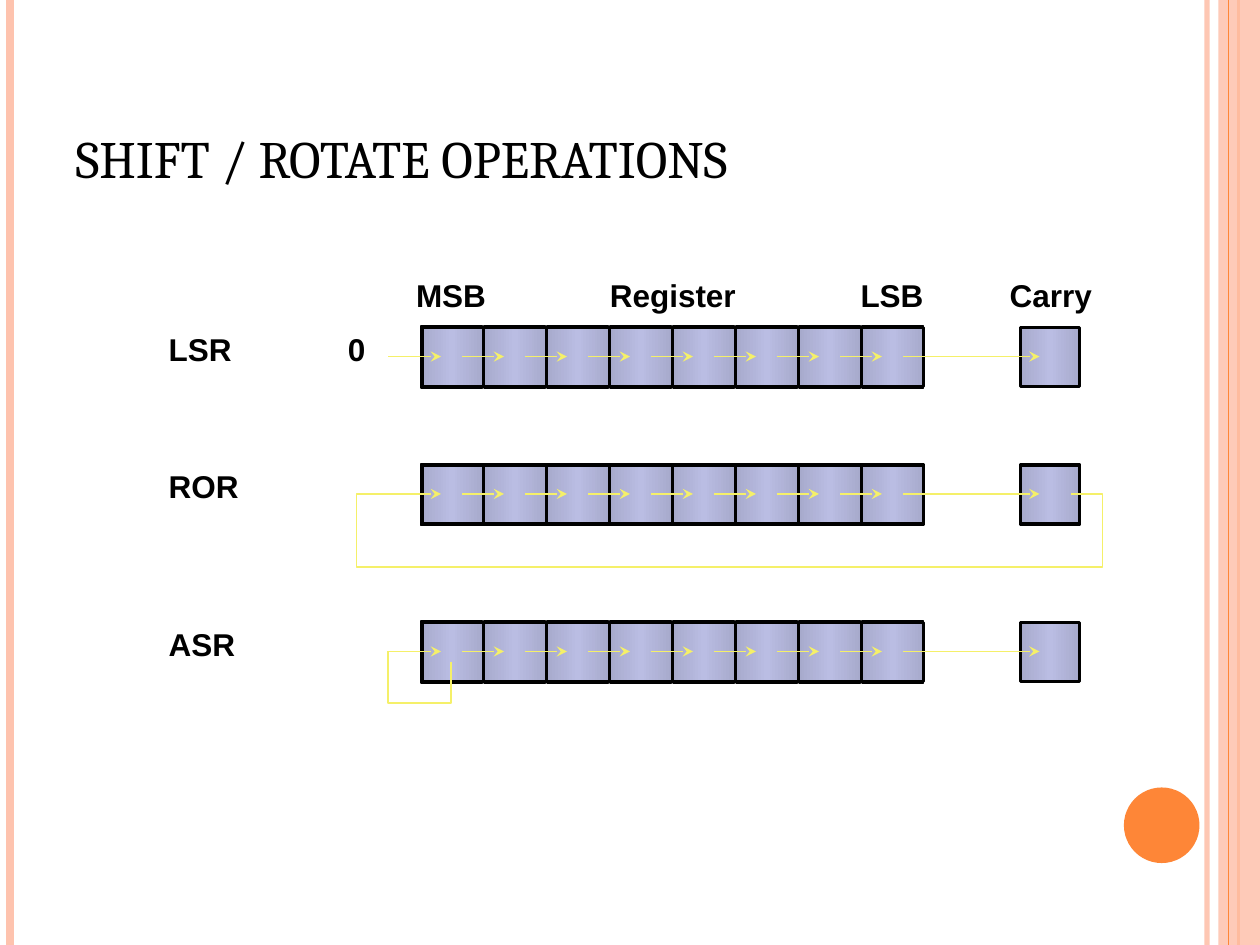
from copy import deepcopy

from lxml import etree
from pptx import Presentation
from pptx.dml.color import RGBColor
from pptx.enum.shapes import MSO_CONNECTOR, MSO_SHAPE
from pptx.enum.text import MSO_ANCHOR, MSO_AUTO_SIZE, PP_ALIGN
from pptx.oxml.ns import qn
from pptx.util import Inches, Pt

STRAIGHT = MSO_CONNECTOR.STRAIGHT
RECTANGLE = MSO_SHAPE.RECTANGLE
OVAL = MSO_SHAPE.OVAL
BOTTOM = MSO_ANCHOR.BOTTOM
NO_AUTO_SIZE = MSO_AUTO_SIZE.NONE
FIT_SHAPE = MSO_AUTO_SIZE.SHAPE_TO_FIT_TEXT
LEFT = PP_ALIGN.LEFT
CENTER = PP_ALIGN.CENTER

BLACK = "000000"
PEACH = "FEC3AE"
ORANGE = "FE8637"
YELLOW = "F5F069"
CELL_GRADIENT = ("A7AACC", "BABDE3", "A7AACC")

BIT_COUNT = 8
BIT_PITCH = 0.5
REGISTER_LEFT = 3.34


def color(hex_value):
    return RGBColor.from_string(hex_value)


def set_alpha(fill_element, percent):
    color_element = fill_element.find(qn("a:srgbClr"))
    etree.SubElement(color_element, qn("a:alpha")).set("val", str(percent * 1000))


def style_font(font, name, size, bold):
    font.name = name
    font.size = Pt(size)
    font.bold = bold
    font.color.rgb = color(BLACK)


def add_line(shapes, start, end, line_color, width, arrow=False, alpha=None):
    connector = shapes.add_connector(STRAIGHT, *map(Inches, start + end))
    connector.line.color.rgb = color(line_color)
    connector.line.width = Pt(width)
    properties = connector._element.spPr
    line = properties.find(qn("a:ln"))
    if alpha:
        set_alpha(line.find(qn("a:solidFill")), alpha)
    if arrow:
        etree.SubElement(line, qn("a:tailEnd")).set("type", "stealth")
    etree.SubElement(properties, qn("a:effectLst"))


def add_arrow(shapes, left, right, y):
    add_line(shapes, (left, y), (right, y), YELLOW, 1, arrow=True)


def add_plain_shape(shapes, kind, box, fill_color):
    shape = shapes.add_shape(kind, *map(Inches, box))
    shape.shadow.inherit = False
    shape.fill.solid()
    shape.fill.fore_color.rgb = color(fill_color)
    shape.line.fill.background()
    return shape


def add_box(shapes, box, line_width, filled=True):
    shape = shapes.add_shape(RECTANGLE, *map(Inches, box))
    shape.shadow.inherit = False
    shape.line.color.rgb = color(BLACK)
    shape.line.width = Pt(line_width)
    if not filled:
        shape.fill.background()
        return
    shape.fill.gradient()
    shape.fill.gradient_angle = 0
    stop_list = shape._element.spPr.find(".//" + qn("a:gsLst"))
    stop_list.insert(1, deepcopy(stop_list[0]))
    stops = zip(shape.fill.gradient_stops, CELL_GRADIENT, (0, 0.5, 1))
    for stop, stop_color, position in stops:
        stop.color.rgb = color(stop_color)
        stop.position = position


def add_label(shapes, text, left, top, width, alignment=CENTER):
    text_box = shapes.add_textbox(*map(Inches, (left, top, width, 0.4)))
    text_frame = text_box.text_frame
    text_frame.word_wrap = False
    text_frame.auto_size = FIT_SHAPE
    text_frame.text = text
    paragraph = text_frame.paragraphs[0]
    paragraph.alignment = alignment
    style_font(paragraph.runs[0].font, "Arial", 18, True)


def add_feedback_path(shapes, points):
    corners = [(Inches(x), Inches(y)) for x, y in points]
    builder = shapes.build_freeform(*corners[0])
    builder.add_line_segments(corners[1:], close=False)
    shape = builder.convert_to_shape()
    shape.shadow.inherit = False
    shape.fill.background()
    shape.line.color.rgb = color(YELLOW)
    shape.line.width = Pt(1)


def add_register_row(slide, name, label_width, y):
    shapes = slide.shapes.add_group_shape().shapes
    for bit in range(BIT_COUNT):
        left = REGISTER_LEFT + bit * BIT_PITCH
        add_box(shapes, (left, y - 0.24, 0.49, 0.49), 1)
    add_box(shapes, (3.35, y - 0.23, 3.98, 0.47), 2, filled=False)
    add_box(shapes, (8.1, y - 0.23, 0.47, 0.47), 2)
    add_label(shapes, name, 1.24, y - 0.26, label_width, LEFT)
    add_arrow(shapes, 3.08, 3.5, y)
    for bit in range(BIT_COUNT - 1):
        left = 3.67 + bit * BIT_PITCH
        add_arrow(shapes, left, left + 0.33, y)
    add_arrow(shapes, 7.17, 8.25, y)
    return shapes


def add_decoration(slide):
    shapes = slide.shapes
    add_line(shapes, (9.58, 0), (9.58, 7.5), PEACH, 3, alpha=93)
    add_line(shapes, (0.08, 0), (0.08, 7.5), PEACH, 4.5)
    add_line(shapes, (9.83, 0), (9.83, 7.5), ORANGE, 1.5)
    band = add_plain_shape(shapes, RECTANGLE, (9.67, 0, 0.33, 7.5), PEACH)
    set_alpha(band._element.spPr.find(qn("a:solidFill")), 87)
    add_line(shapes, (9.75, 0), (9.75, 7.5), ORANGE, 0.75)
    add_plain_shape(shapes, OVAL, (8.92, 6.25, 0.6, 0.6), ORANGE)


def set_title(slide, text):
    title = slide.shapes.title
    title.left, title.top = Inches(0.5), Inches(0.3)
    title.width, title.height = Inches(8.17), Inches(1.25)
    text_frame = title.text_frame
    text_frame.text = text
    text_frame.word_wrap = True
    text_frame.auto_size = NO_AUTO_SIZE
    text_frame.vertical_anchor = BOTTOM
    paragraph = text_frame.paragraphs[0]
    paragraph.alignment = LEFT
    style_font(paragraph.runs[0].font, "Cambria", 30, False)


def main():
    presentation = Presentation()
    presentation.slide_width = Inches(10)
    presentation.slide_height = Inches(7.5)
    slide = presentation.slides.add_slide(presentation.slide_layouts[5])
    add_decoration(slide)
    set_title(slide, "SHIFT / ROTATE OPERATIONS")

    logical_shift = add_register_row(slide, "LSR", 0.7, 2.83)
    add_label(logical_shift, "0", 2.66, 2.57, 0.34)
    headings = (
        ("MSB", 3.2, 0.76),
        ("Register", 4.74, 1.2),
        ("LSB", 6.73, 0.7),
        ("Carry", 7.91, 0.86),
    )
    for text, left, width in headings:
        add_label(logical_shift, text, left, 2.14, width)

    rotate = add_register_row(slide, "ROR", 0.76, 3.92)
    add_feedback_path(rotate, [
        (8.5, 3.92), (8.75, 3.92), (8.75, 4.5),
        (2.83, 4.5), (2.83, 3.92), (3.08, 3.92),
    ])

    arithmetic_shift = add_register_row(slide, "ASR", 0.73, 5.17)
    add_feedback_path(arithmetic_shift, [
        (3.58, 5.25), (3.58, 5.58), (3.08, 5.58), (3.08, 5.17),
    ])
    presentation.save("out.pptx")


if __name__ == "__main__":
    main()
